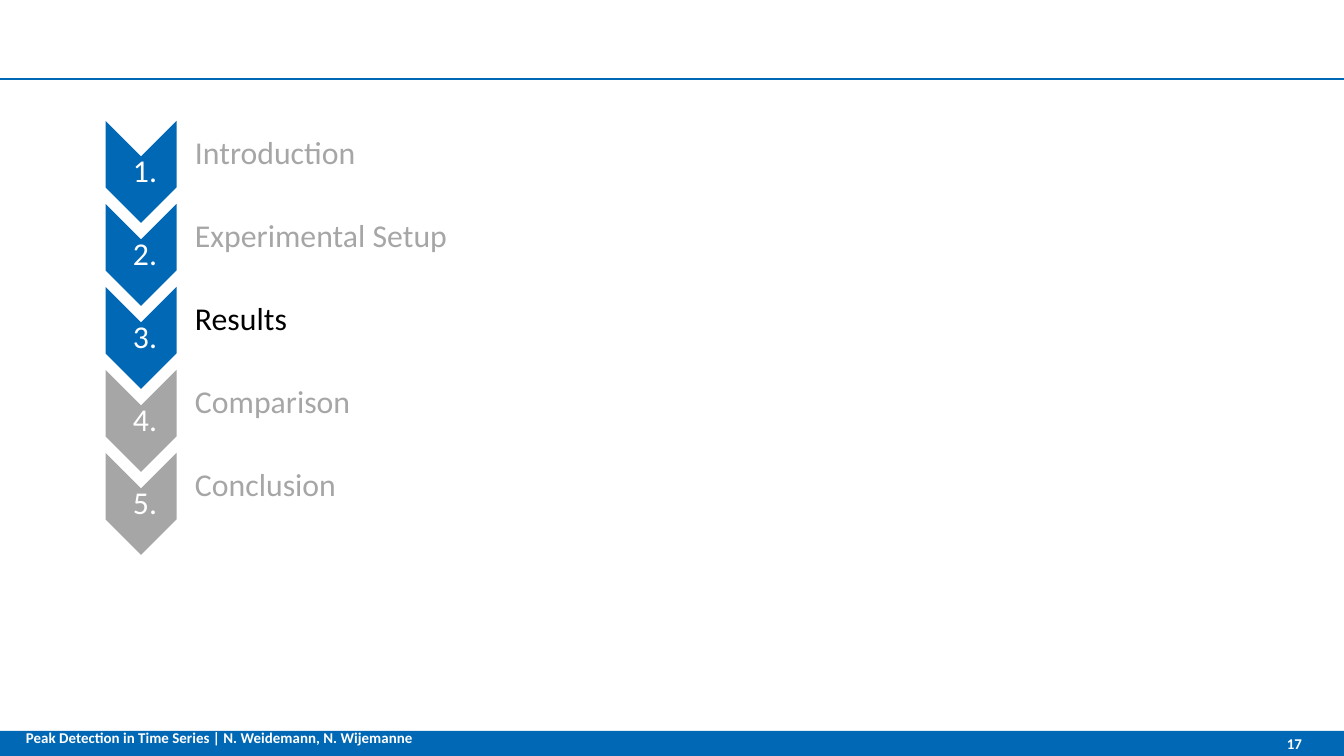
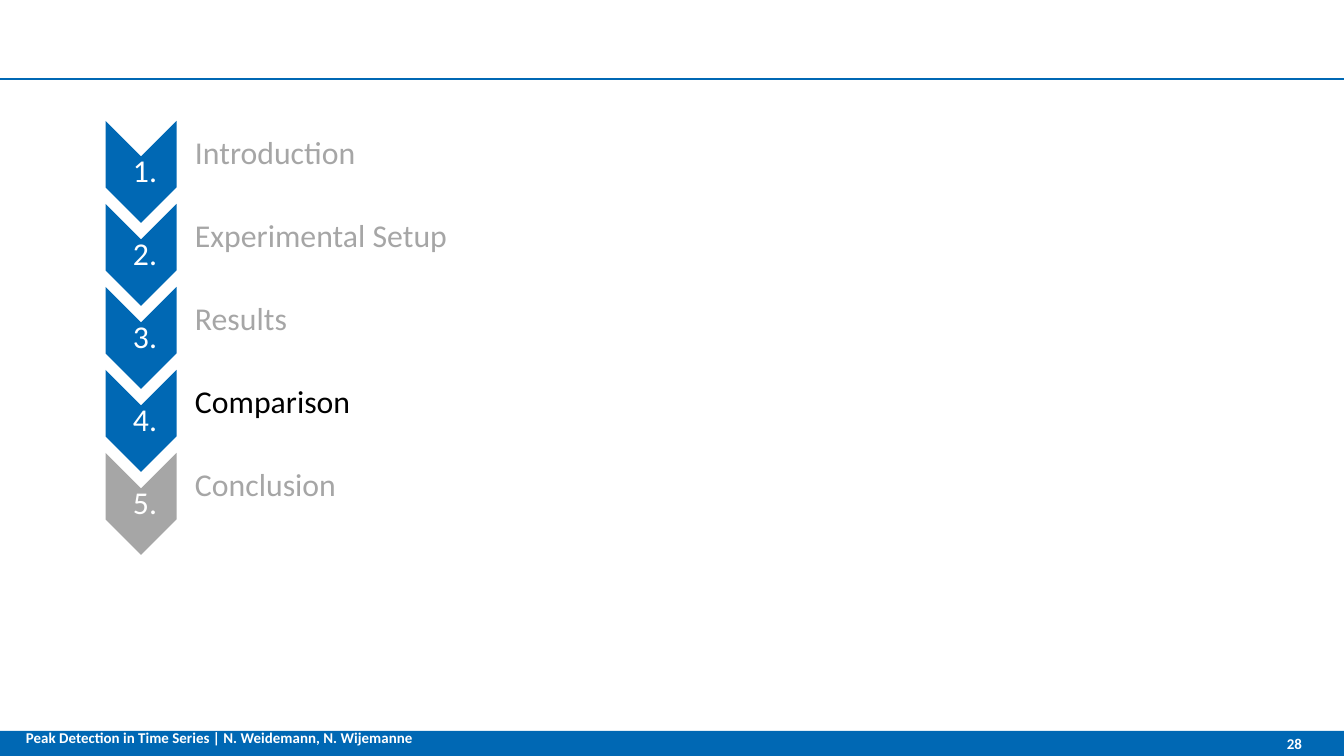
from dataclasses import dataclass

from lxml.etree import SubElement
from pptx import Presentation
from pptx.dml.color import RGBColor
from pptx.enum.shapes import MSO_CONNECTOR, MSO_SHAPE
from pptx.enum.text import MSO_ANCHOR, PP_ALIGN
from pptx.oxml.ns import qn
from pptx.util import Pt


@dataclass(frozen=True)
class Theme:
    blue: RGBColor = RGBColor(0x00, 0x68, 0xB4)
    grey: RGBColor = RGBColor(0xA6, 0xA6, 0xA6)
    black: RGBColor = RGBColor(0x00, 0x00, 0x00)
    white: RGBColor = RGBColor(0xFF, 0xFF, 0xFF)
    font: str = "Calibri"
    agenda_size: int = 17
    footer_size: int = 8
    rule_width: float = 1.5


THEME = Theme()
EMU_PER_PX = 914400 / 134.4
SLIDE_W, SLIDE_H = 1344, 756

SECTIONS = ["Introduction", "Experimental Setup", "Results", "Comparison", "Conclusion"]
FOOTER = "Peak Detection in Time Series | N. Weidemann, N. Wijemanne"
# Page number and current section of each agenda slide
AGENDAS = [(17, "Results"), (28, "Comparison")]

# Agenda grid
ROW_PITCH = 83
CHEVRON_LENGTH, CHEVRON_WIDTH = 102, 71
CHEVRON_CENTRE_X, FIRST_CENTRE_Y = 141, 172
COLUMN_LEFT, COLUMN_RIGHT = 106, 177
BAND_TOP, BAND_H = 731, 25


def px(*lengths):
    return [round(length * EMU_PER_PX) for length in lengths]


def add_text(slide, text, box, insets, size, color, bold=False,
             align=PP_ALIGN.LEFT, anchor=MSO_ANCHOR.MIDDLE, line_spacing=None):
    frame = slide.shapes.add_textbox(*px(*box)).text_frame
    frame.word_wrap = True
    frame.vertical_anchor = anchor
    (frame.margin_left, frame.margin_top,
     frame.margin_right, frame.margin_bottom) = px(*insets)
    paragraph = frame.paragraphs[0]
    paragraph.text = text
    paragraph.alignment = align
    paragraph.line_spacing = line_spacing
    paragraph.font.name = THEME.font
    paragraph.font.size = Pt(size)
    paragraph.font.bold = bold
    paragraph.font.color.rgb = color


prs = Presentation()
prs.slide_width, prs.slide_height = px(SLIDE_W, SLIDE_H)
blank_layout = prs.slide_layouts[6]
slides = [prs.slides.add_slide(blank_layout) for _ in AGENDAS]

# Footer band, moved to the master so that every slide shares it
band = slides[0].shapes.add_shape(MSO_SHAPE.RECTANGLE, *px(0, BAND_TOP, SLIDE_W, BAND_H))
band.shadow.inherit = False
band.fill.solid()
band.fill.fore_color.rgb = THEME.blue
band.line.fill.background()
prs.slide_master.shapes.element.append(band.element)

for slide, (page, current) in zip(slides, AGENDAS):
    current_index = SECTIONS.index(current)

    # Agenda: numbered chevrons, blue up to the current section
    for index, section in enumerate(SECTIONS):
        centre_y = FIRST_CENTRE_Y + index * ROW_PITCH
        chevron = slide.shapes.add_shape(
            MSO_SHAPE.CHEVRON,
            *px(CHEVRON_CENTRE_X - CHEVRON_LENGTH / 2, centre_y - CHEVRON_WIDTH / 2,
                CHEVRON_LENGTH, CHEVRON_WIDTH))
        chevron.rotation = 90
        chevron.shadow.inherit = False
        chevron.fill.solid()
        chevron.fill.fore_color.rgb = THEME.blue if index <= current_index else THEME.grey
        chevron.line.fill.background()

        add_text(slide, f" {index + 1}.", (COLUMN_LEFT, centre_y - 15, CHEVRON_WIDTH, 31),
                 (1, 1, 1, 1), THEME.agenda_size, THEME.white,
                 align=PP_ALIGN.CENTER, line_spacing=0.9)
        add_text(slide, section, (COLUMN_RIGHT, centre_y - 47, 1058, 59),
                 (18, 1, 1, 1), THEME.agenda_size,
                 THEME.black if index == current_index else THEME.grey, line_spacing=0.9)

    # Rule under the title area
    rule = slide.shapes.add_connector(MSO_CONNECTOR.STRAIGHT, *px(SLIDE_W, 79, 0, 79))
    rule.line.color.rgb = THEME.blue
    rule.line.width = Pt(THEME.rule_width)
    SubElement(rule.element.spPr, qn("a:effectLst"))

    # Footer text and page number
    add_text(slide, FOOTER, (13, 720, 583, 46), (13, 13, 13, 13),
             THEME.footer_size, THEME.white, bold=True, anchor=MSO_ANCHOR.TOP)
    add_text(slide, str(page), (1176, BAND_TOP, 126, BAND_H), (13, 7, 0, 7),
             THEME.footer_size, THEME.white, bold=True, align=PP_ALIGN.RIGHT)

prs.save("out.pptx")
